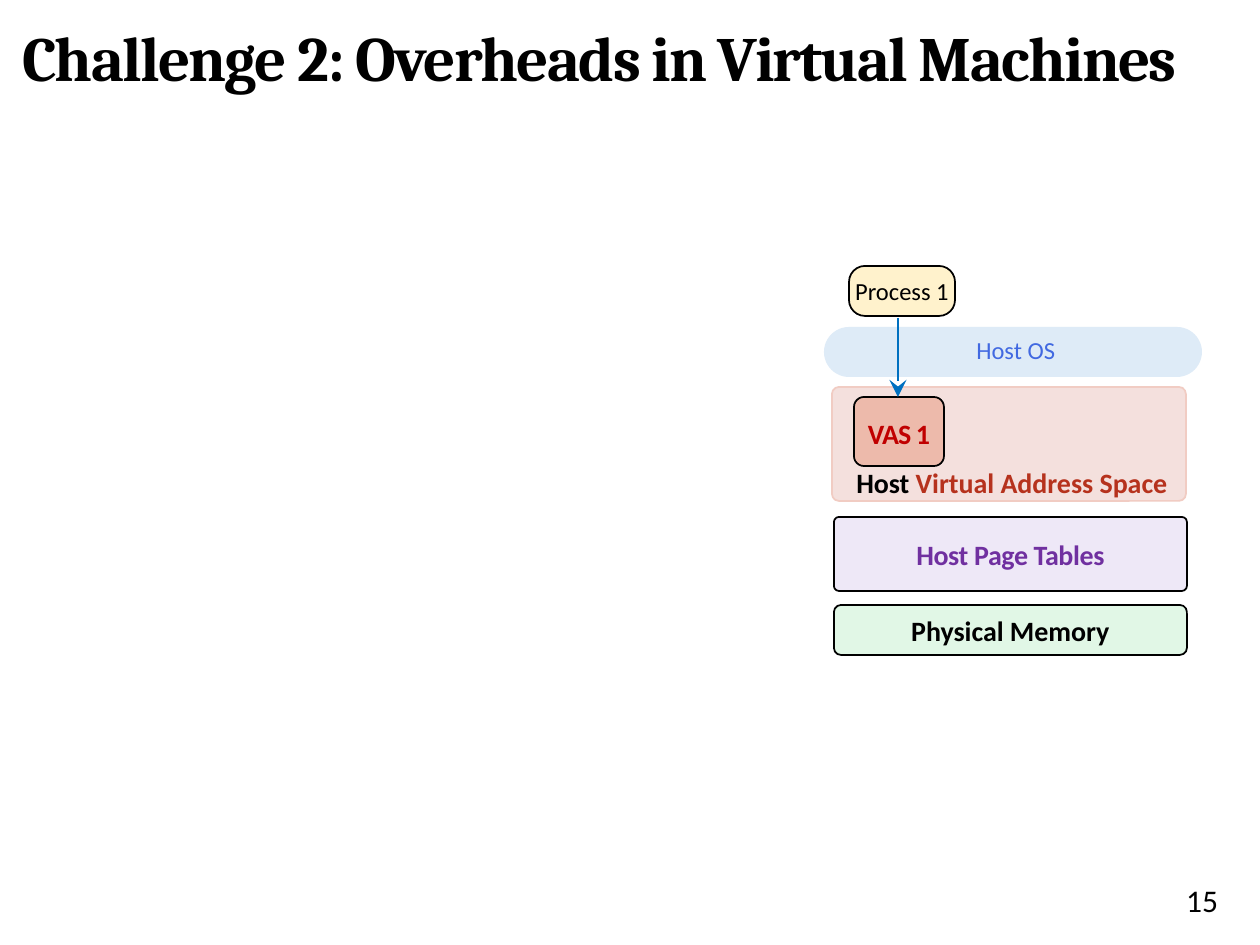
import pptx
import pptx.dml.color
import pptx.enum.shapes
import pptx.enum.text
import pptx.oxml.ns
import pptx.util
import lxml.etree

RGB = pptx.dml.color.RGBColor
ALIGN = pptx.enum.text.PP_ALIGN
ANCHOR = pptx.enum.text.MSO_ANCHOR

BLACK = RGB(0x00, 0x00, 0x00)
ROSE = RGB(0xF4, 0xE0, 0xDD)
ROSE_EDGE = RGB(0xF1, 0xCC, 0xC3)
BRICK = RGB(0xB6, 0x32, 0x1D)
SKY = RGB(0xDE, 0xEB, 0xF7)
ROYAL_BLUE = RGB(0x41, 0x69, 0xE1)
LAVENDER = RGB(0xEE, 0xE8, 0xF7)
PURPLE = RGB(0x70, 0x30, 0xA0)
MINT = RGB(0xE1, 0xF7, 0xE6)
CREAM = RGB(0xFF, 0xF2, 0xCC)
SALMON = RGB(0xED, 0xBA, 0xAB)
RED = RGB(0xC0, 0x00, 0x00)
ARROW_BLUE = RGB(0x00, 0x70, 0xC0)

PX = 914400 / 126


def emu(px):
    return pptx.util.Emu(round(px * PX))


class SlideBuilder:
    """Draws styled elements on one slide, with lengths in px."""

    def __init__(self, slide, font="Calibri"):
        self.slide = slide
        self.font = font

    def label(self, shape, pieces, size, bold=False, align=ALIGN.CENTER,
              anchor=ANCHOR.MIDDLE, insets=(0, 0, 0, 0), font=None,
              tracking=0, line_spacing=None):
        frame = shape.text_frame
        frame.word_wrap = True
        frame.vertical_anchor = anchor
        (frame.margin_left, frame.margin_top,
         frame.margin_right, frame.margin_bottom) = map(emu, insets)
        para = frame.paragraphs[0]
        para.alignment = align
        if line_spacing:
            para.line_spacing = line_spacing
        for text, color in pieces:
            span = para.add_run()
            span.text = text
            span.font.name = font or self.font
            span.font.size = pptx.util.Pt(size)
            span.font.bold = bold
            span.font.color.rgb = color
            if tracking:
                span.font._element.set("spc", str(tracking))

    def text(self, left, top, width, height, pieces, size, **style):
        box = self.slide.shapes.add_textbox(*map(emu, (left, top, width, height)))
        self.label(box, pieces, size, **style)

    def rounded(self, left, top, width, height, radius, fill, edge=None,
                pieces=(), size=16, **style):
        box = self.slide.shapes.add_shape(
            pptx.enum.shapes.MSO_SHAPE.ROUNDED_RECTANGLE,
            *map(emu, (left, top, width, height)))
        box.shadow.inherit = False
        box.adjustments[0] = radius / min(width, height)
        box.fill.solid()
        box.fill.fore_color.rgb = fill
        if edge is None:
            box.line.fill.background()
        else:
            box.line.color.rgb = edge
            box.line.width = pptx.util.Pt(1)
        if pieces:
            self.label(box, pieces, size, **style)

    def arrow(self, start, end, color, weight):
        connector = self.slide.shapes.add_connector(
            pptx.enum.shapes.MSO_CONNECTOR.STRAIGHT, *map(emu, start + end))
        connector.line.color.rgb = color
        connector.line.width = pptx.util.Pt(weight)
        qn = pptx.oxml.ns.qn
        properties = connector.element.spPr
        lxml.etree.SubElement(properties.find(qn("a:ln")), qn("a:tailEnd"),
                              type="stealth", w="lg", len="lg")
        lxml.etree.SubElement(properties, qn("a:effectLst"))


def main():
    deck = pptx.Presentation()
    deck.slide_width, deck.slide_height = emu(1260), emu(945)
    page = SlideBuilder(deck.slides.add_slide(deck.slide_layouts[6]))

    page.text(10, 10, 1239, 102, [("Challenge 2: Overheads in Virtual Machines", BLACK)],
              36, bold=True, align=ALIGN.LEFT, insets=(12, 6, 12, 6),
              font="Cambria", tracking=-100, line_spacing=0.9)
    page.text(757, 875, 473, 50, [("15", BLACK)], 18, align=ALIGN.RIGHT,
              insets=(12, 6, 12, 6))

    page.rounded(832, 387, 354, 114, 7, ROSE, ROSE_EDGE,
                 [("Host", BLACK), (" Virtual Address Space", BRICK)],
                 bold=True, anchor=ANCHOR.BOTTOM, insets=(6, 0, 0, 0),
                 line_spacing=0.8)
    page.rounded(824, 327, 378, 50, 25, SKY, None, [("Host OS", ROYAL_BLUE)], 14,
                 align=ALIGN.LEFT, insets=(145, 0, 50, 0), line_spacing=0.8)
    page.rounded(834, 517, 353, 74, 5, LAVENDER, BLACK,
                 [("Host Page Tables", PURPLE)], bold=True, tracking=-20)
    page.rounded(834, 605, 353, 50, 7, MINT, BLACK,
                 [("Physical Memory", BLACK)], bold=True)
    page.rounded(849, 266, 106, 50, 16, CREAM, BLACK, [("Process 1", BLACK)], 14)
    page.rounded(854, 397, 90, 69, 10, SALMON, BLACK)
    page.text(854, 417, 90, 34, [("VAS 1", RED)], 16, bold=True,
              anchor=ANCHOR.TOP, tracking=-50)
    page.arrow((898, 318), (898, 397), ARROW_BLUE, 1.5)

    deck.save("out.pptx")


if __name__ == "__main__":
    main()
